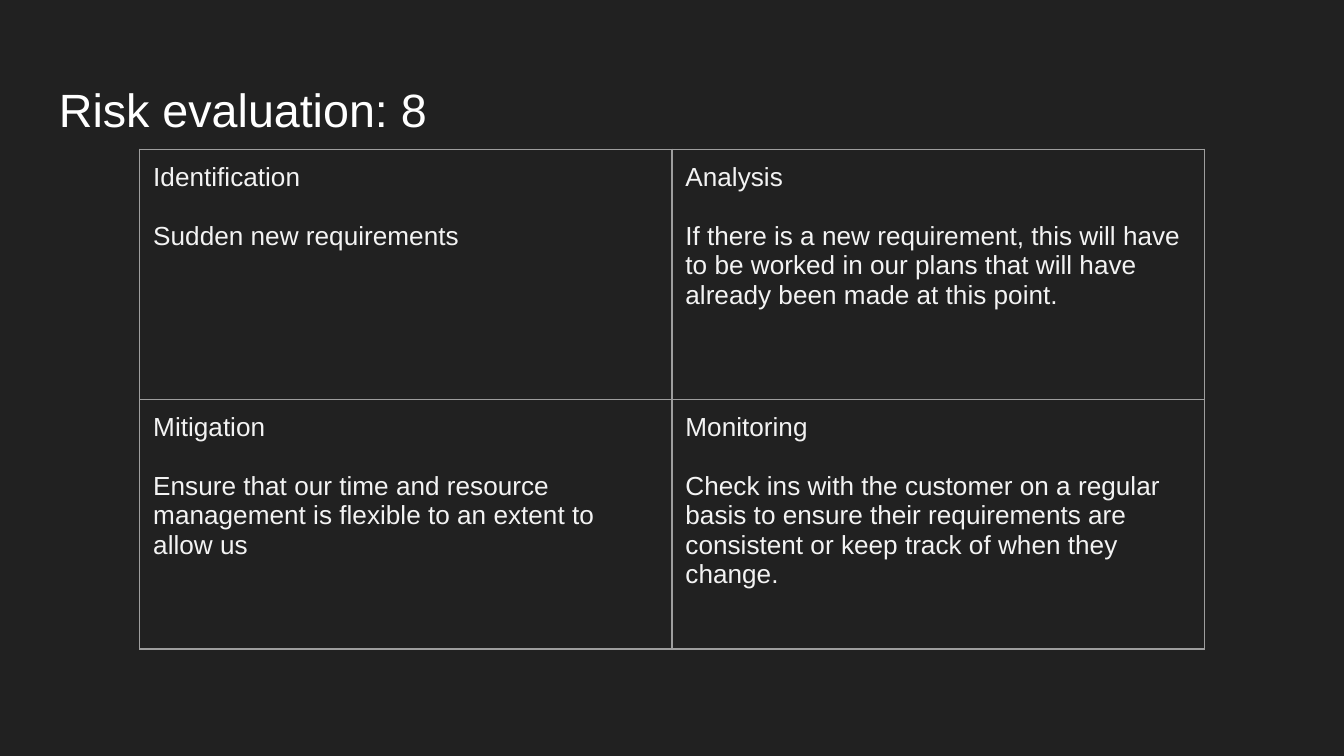
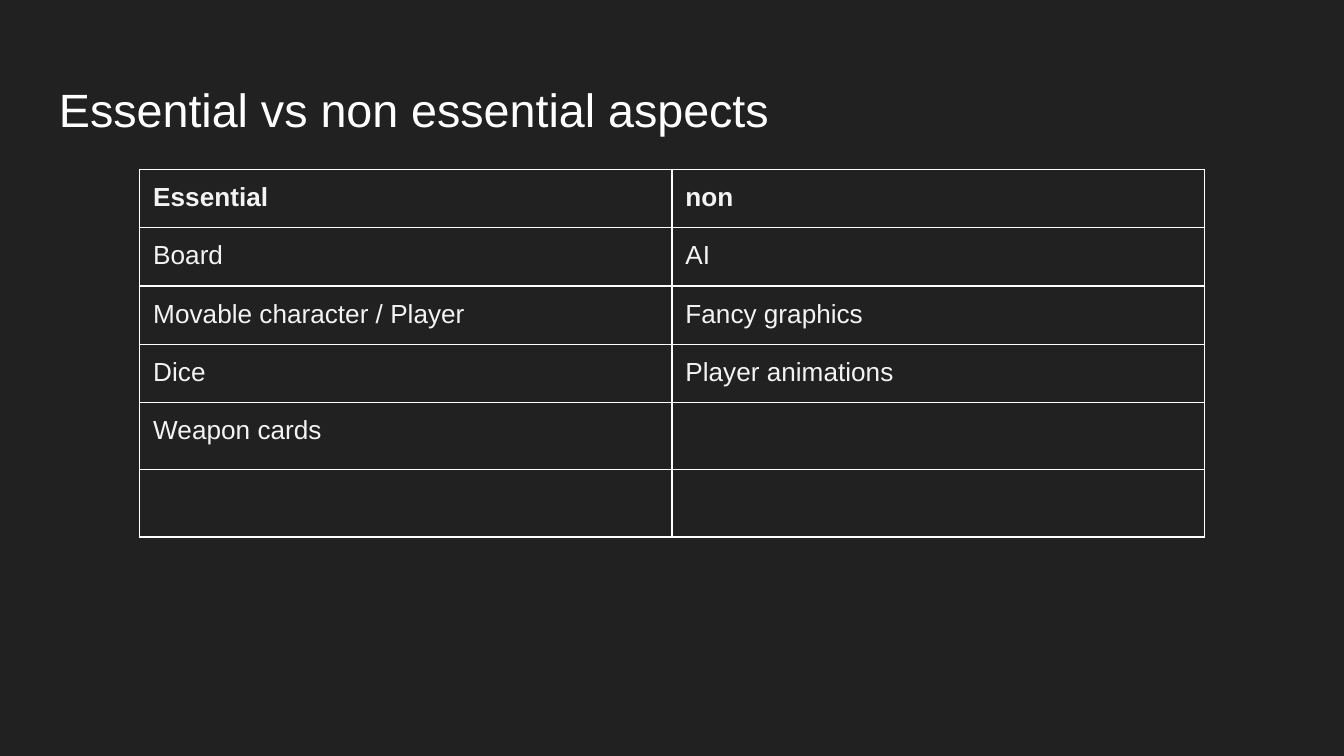
import pptx
import pptx.util
import pptx.dml.color
import pptx.enum.text
import pptx.oxml
import pptx.oxml.ns

PX = 4572


def px(num):
    return pptx.util.Emu(num * PX)


def color(code):
    return pptx.dml.color.RGBColor.from_string(code)


def write(frame, text, size=14, tint="F3F3F3", bold=False, gap=0):
    for i, line in enumerate(text.split("\n")):
        para = frame.paragraphs[0] if i == 0 else frame.add_paragraph()
        para.space_before = pptx.util.Pt(gap if i else 0)
        run = para.add_run()
        run.text = line
        run.font.name = "Arial"
        run.font.size = pptx.util.Pt(size)
        run.font.bold = bold
        run.font.color.rgb = color(tint)


class Deck:
    back = "212121"
    white = "FFFFFF"
    inset = 20
    left = 208
    wide = 792

    def __init__(self):
        self.file = pptx.Presentation()
        self.file.slide_width = px(2000)
        self.file.slide_height = px(1125)
        self.slide = None

    def page(self, title):
        self.slide = self.file.slides.add_slide(self.file.slide_layouts[6])
        fill = self.slide.background.fill
        fill.solid()
        fill.fore_color.rgb = color(self.back)
        self.title(title)

    def pad(self, item):
        item.margin_left = item.margin_right = px(self.inset)
        item.margin_top = item.margin_bottom = px(self.inset)

    def title(self, text):
        box = self.slide.shapes.add_textbox(px(68), px(98), px(1864), px(126))
        frame = box.text_frame
        frame.word_wrap = True
        frame.vertical_anchor = pptx.enum.text.MSO_ANCHOR.BOTTOM
        self.pad(frame)
        write(frame, text, size=25, tint=self.white)

    def border(self, cell, tint):
        props = cell._tc.get_or_add_tcPr()
        space = pptx.oxml.ns.nsdecls("a")
        for side in "LRTB":
            props.append(pptx.oxml.parse_xml(
                f'<a:ln{side} {space} w="9525"><a:solidFill>'
                f'<a:srgbClr val="{tint}"/></a:solidFill></a:ln{side}>'))

    def table(self, rows, top, tall, tint, head=False):
        cols = len(rows[0])
        grid = self.slide.shapes.add_table(
            len(rows), cols, px(self.left), px(top),
            px(self.wide * cols), px(tall * len(rows))).table
        grid.first_row = grid.horz_banding = False
        for r, row in enumerate(rows):
            for c, text in enumerate(row):
                cell = grid.cell(r, c)
                self.pad(cell)
                self.border(cell, tint)
                cell.fill.background()
                if text:
                    write(cell.text_frame, text, bold=head and r == 0, gap=16)


def main():
    deck = Deck()

    deck.page("Risk evaluation: 8")
    deck.table([
        ["Identification\nSudden new requirements",
         "Analysis\nIf there is a new requirement, this will have to be worked "
         "in our plans that will have already been made at this point."],
        ["Mitigation\nEnsure that our time and resource management is flexible "
         "to an extent to allow us",
         "Monitoring\nCheck ins with the customer on a regular basis to ensure "
         "their requirements are consistent or keep track of when they change."],
    ], top=222, tall=372, tint="9E9E9E")

    deck.page("Essential vs non essential aspects")
    deck.table([
        ["Essential", "non"],
        ["Board", "AI"],
        ["Movable character / Player", "Fancy graphics"],
        ["Dice", "Player animations"],
        ["Weapon cards", ""],
        ["", ""],
    ], top=252, tall=84, tint=deck.white, head=True)

    deck.file.save("out.pptx")


if __name__ == "__main__":
    main()
